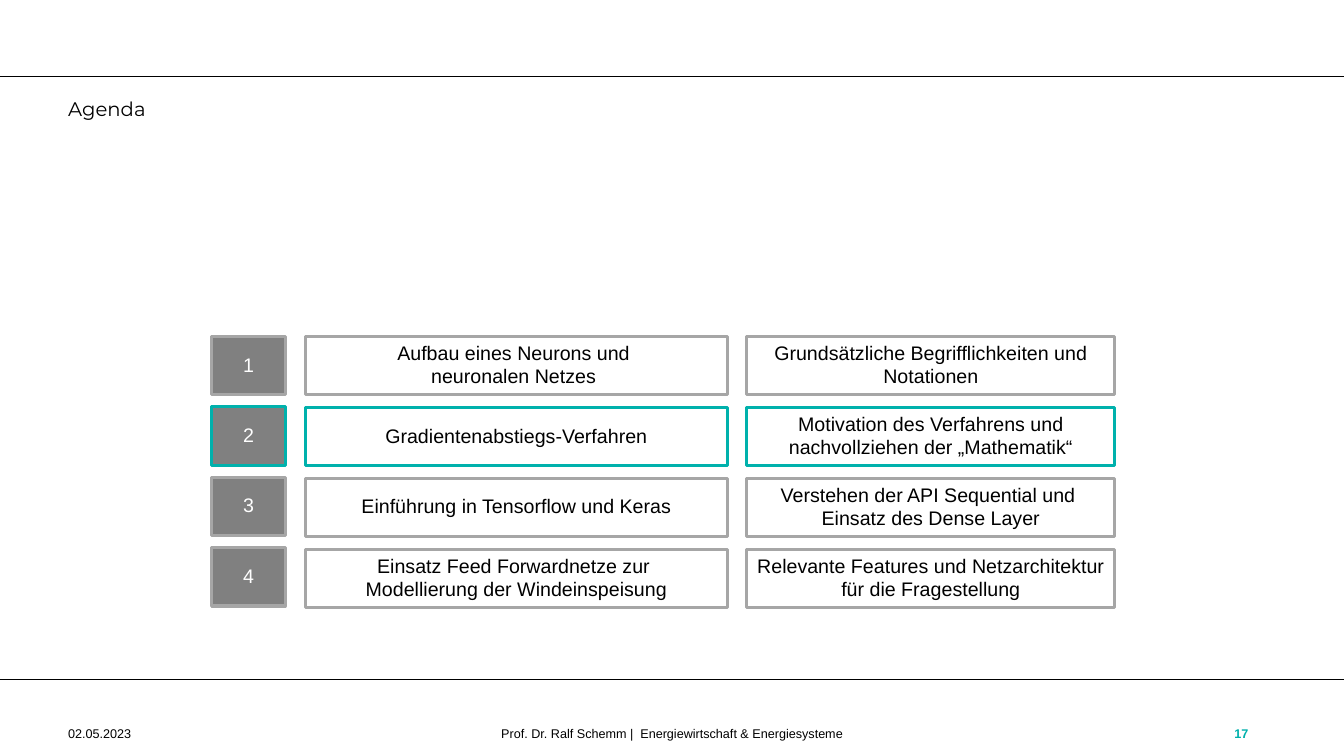
from lxml.etree import SubElement
from pptx import Presentation
from pptx.dml.color import RGBColor
from pptx.enum.shapes import MSO_CONNECTOR as Connector, MSO_SHAPE as Shape
from pptx.enum.text import MSO_ANCHOR as Anchor, PP_ALIGN as Align
from pptx.oxml.ns import qn
from pptx.util import Pt

COLORS = {
    "black": "000000",
    "white": "FFFFFF",
    "number": "808080",
    "frame": "A6A6A6",
    "accent": "00B1AC",
}
WIDTH, HEIGHT = 960, 540
RULES = (485.3, 54.7)
FOOTER_TOP, FOOTER_HEIGHT = 509.8, 28.8
ROW_TOP, ROW_HEIGHT = 240.4, 41.6
TOPIC_PITCH, NUMBER_PITCH = 50.65, 50.3
CURRENT = 2
AGENDA = [
    ("Aufbau eines Neurons und \vneuronalen Netzes ",
     "Grundsätzliche Begrifflichkeiten und Notationen"),
    ("Gradientenabstiegs-Verfahren",
     "Motivation des Verfahrens und nachvollziehen der „Mathematik“"),
    ("Einführung in Tensorflow und Keras",
     "Verstehen der API Sequential und \vEinsatz des Dense Layer"),
    ("Einsatz Feed Forwardnetze zur \vModellierung der Windeinspeisung",
     "Relevante Features und Netzarchitektur für die Fragestellung"),
]


class AgendaSlide:
    def __init__(self, slide, font="Arial"):
        self.shapes = slide.shapes
        self.font = font

    def color(self, name):
        return RGBColor.from_string(COLORS[name])

    def set_text(self, frame, text, size, color, align, anchor, font=None, bold=False):
        frame.word_wrap = True
        frame.vertical_anchor = anchor
        frame.text = text
        paragraph = frame.paragraphs[0]
        paragraph.alignment = align
        style = paragraph.font
        style.name = font or self.font
        style.size = Pt(size)
        style.bold = bold
        style.color.rgb = self.color(color)

    def rule(self, y):
        line = self.shapes.add_connector(
            Connector.STRAIGHT, Pt(0), Pt(y), Pt(WIDTH), Pt(y))
        line.line.color.rgb = self.color("black")
        line.line.width = Pt(1)
        SubElement(line._element.spPr, qn("a:effectLst"))

    def label(self, left, top, width, height, text, size=9, color="black",
              align=Align.LEFT, anchor=Anchor.MIDDLE, font=None, bold=False):
        box = self.shapes.add_textbox(Pt(left), Pt(top), Pt(width), Pt(height))
        self.set_text(box.text_frame, text, size, color, align, anchor, font, bold)

    def box(self, left, top, width, text, frame, fill="white", color="black"):
        box = self.shapes.add_shape(
            Shape.RECTANGLE, Pt(left), Pt(top), Pt(width), Pt(ROW_HEIGHT))
        box.shadow.inherit = False
        box.fill.solid()
        box.fill.fore_color.rgb = self.color(fill)
        box.line.color.rgb = self.color(frame)
        box.line.width = Pt(2.25)
        inner = box.text_frame
        inner.margin_left = inner.margin_right = inner.margin_top = Pt(0)
        inner.margin_bottom = Pt(2)
        self.set_text(inner, text, 14, color, Align.CENTER, Anchor.MIDDLE)


def main():
    deck = Presentation()
    deck.slide_width, deck.slide_height = Pt(WIDTH), Pt(HEIGHT)
    page = AgendaSlide(deck.slides.add_slide(deck.slide_layouts[6]))

    for y in RULES:
        page.rule(y)
    page.label(41.6, 65.5, 857.5, 39.6, "Agenda", size=14,
               anchor=Anchor.TOP, font="Montserrat")
    page.label(41.6, FOOTER_TOP, 136, FOOTER_HEIGHT, "02.05.2023")
    page.label(253.2, FOOTER_TOP, 453.6, FOOTER_HEIGHT,
               "Prof. Dr. Ralf Schemm |  Energiewirtschaft & Energiesysteme",
               align=Align.CENTER)
    page.label(835.4, FOOTER_TOP, 63.3, FOOTER_HEIGHT, "17",
               color="accent", align=Align.RIGHT, bold=True)

    for index, (topic, goal) in enumerate(AGENDA):
        number = index + 1
        frame = "accent" if number == CURRENT else "frame"
        topic_top = ROW_TOP + index * TOPIC_PITCH
        number_top = ROW_TOP + index * NUMBER_PITCH
        page.box(218, topic_top, 301.7, topic, frame)
        page.box(533.5, topic_top, 262.8, goal, frame)
        page.box(151.2, number_top, 52.6, str(number), frame, "number", "white")

    deck.save("out.pptx")


if __name__ == "__main__":
    main()
